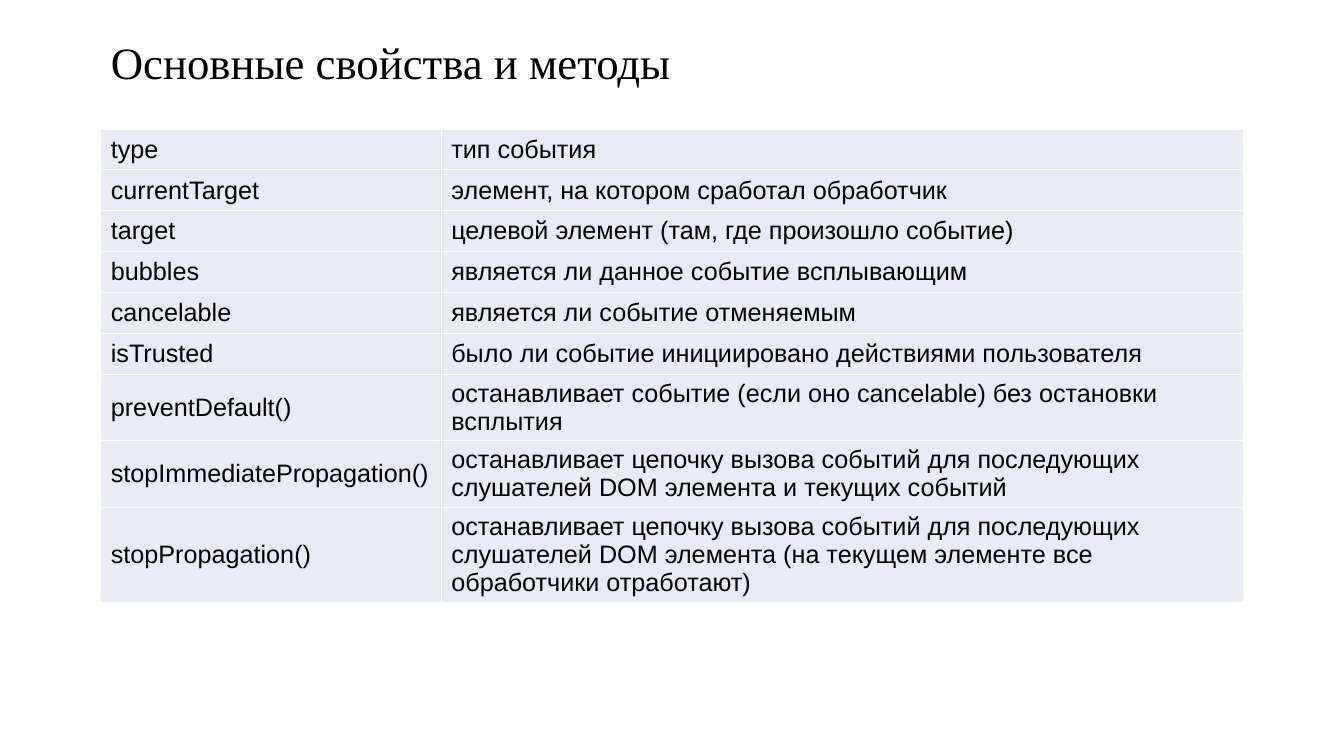
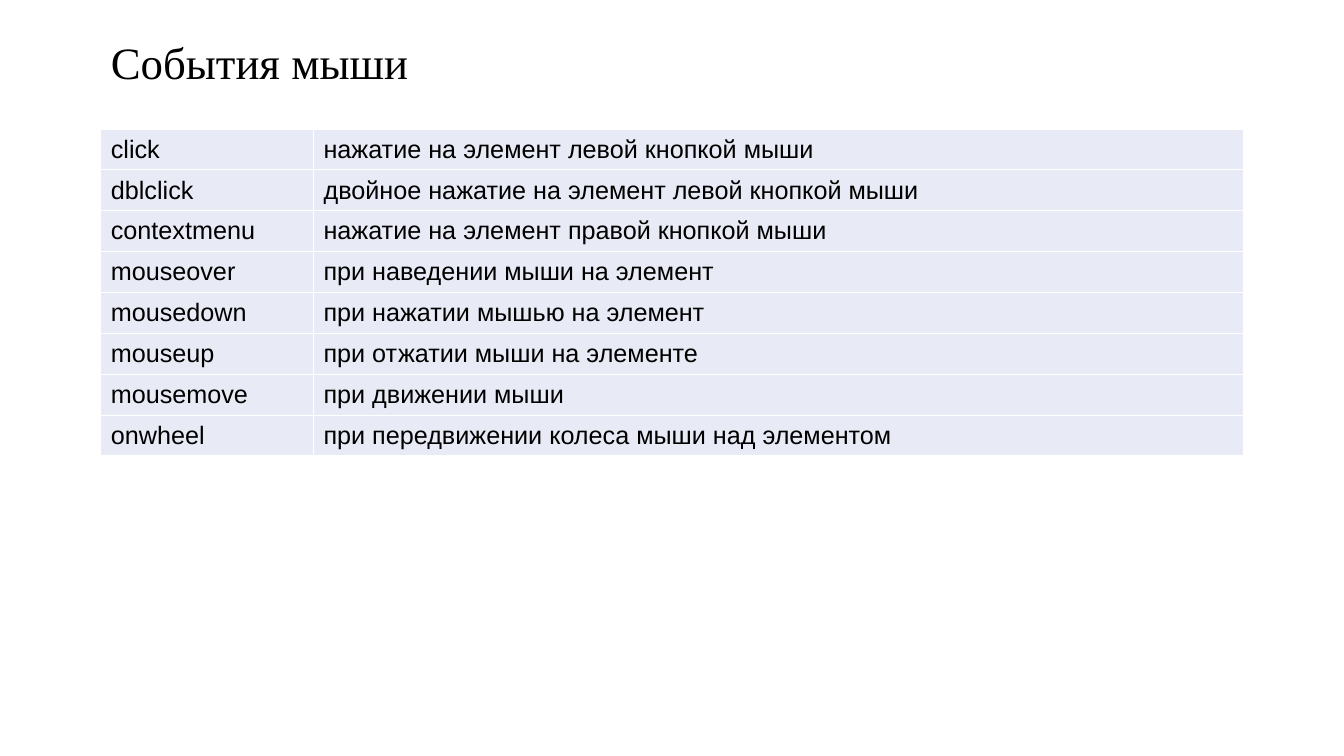
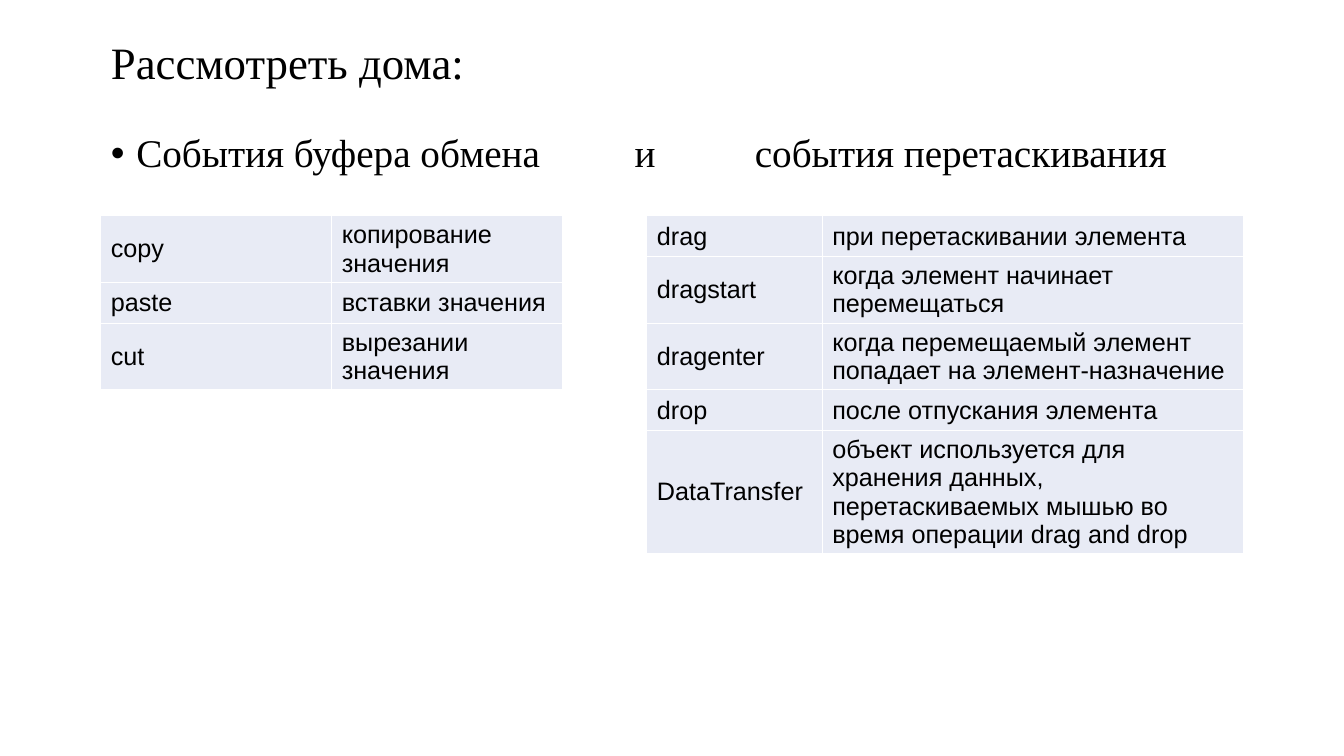
from dataclasses import dataclass

from lxml.etree import SubElement
from pptx import Presentation
from pptx.dml.color import RGBColor
from pptx.enum.text import MSO_ANCHOR, MSO_AUTO_SIZE, PP_ALIGN
from pptx.oxml.ns import qn
from pptx.util import Cm, Pt


@dataclass(frozen=True)
class Theme:
    ink: str = "000000"
    cell: str = "E8EBF5"
    rule: str = "FFFFFF"
    serif: str = "Times New Roman"
    sans: str = "Arial"
    title: int = 32
    body: int = 28
    table: int = 18


THEME = Theme()
LEFT, WIDTH = 2.54, 28.79
HEAD = 3.25
LOW = 5.44
ROW = 1.03
LAYOUTS = {"title": 5, "body": 1}

# Each table: left, top, width, first column width, rows
SLIDES = [
    {
        "title": "Основные свойства и методы",
        "tables": [(LEFT, HEAD, WIDTH, 8.58, [
            ("type", "тип события"),
            ("currentTarget", "элемент, на котором сработал обработчик"),
            ("target", "целевой элемент (там, где произошло событие)"),
            ("bubbles", "является ли данное событие всплывающим"),
            ("cancelable", "является ли событие отменяемым"),
            ("isTrusted", "было ли событие инициировано действиями пользователя"),
            ("preventDefault()",
             "останавливает событие (если оно cancelable) без остановки всплытия"),
            ("stopImmediatePropagation()",
             "останавливает цепочку вызова событий для последующих "
             "слушателей DOM элемента и текущих событий"),
            ("stopPropagation()",
             "останавливает цепочку вызова событий для последующих "
             "слушателей DOM элемента (на текущем элементе все "
             "обработчики отработают)"),
        ])],
    },
    {
        "title": "События мыши",
        "tables": [(LEFT, HEAD, WIDTH, 5.36, [
            ("click", "нажатие на элемент левой кнопкой мыши"),
            ("dblclick", "двойное нажатие на элемент левой кнопкой мыши"),
            ("contextmenu", "нажатие на элемент правой кнопкой мыши"),
            ("mouseover", "при наведении мыши на элемент"),
            ("mousedown", "при нажатии мышью на элемент"),
            ("mouseup", "при отжатии мыши на элементе"),
            ("mousemove", "при движении мыши"),
            ("onwheel", "при передвижении колеса мыши над элементом"),
        ])],
    },
    {
        "title": "Рассмотреть дома:",
        "body": "События буфера обмена\tи\tсобытия перетаскивания",
        "tabs": (13.2, 16.23),
        "tables": [
            (LEFT, LOW, 11.64, 5.82, [
                ("copy", "копирование значения"),
                ("paste", "вставки значения"),
                ("cut", "вырезании значения"),
            ]),
            (16.3, LOW, 15.03, 4.42, [
                ("drag", "при перетаскивании элемента"),
                ("dragstart", "когда элемент начинает перемещаться"),
                ("dragenter",
                 "когда перемещаемый элемент попадает на элемент-назначение"),
                ("drop", "после отпускания элемента"),
                ("DataTransfer",
                 "объект используется для хранения данных, "
                 "перетаскиваемых мышью во время операции drag and drop"),
            ]),
        ],
    },
]


def style(par, face, size):
    par.alignment = PP_ALIGN.LEFT
    for run in par.runs:
        run.font.name = face
        run.font.size = Pt(size)
        run.font.color.rgb = RGBColor.from_string(THEME.ink)


def fill_holder(shape, text, top, height, size, anchor):
    """Place a placeholder across the page and return its paragraph."""
    shape.left, shape.top = Cm(LEFT), Cm(top)
    shape.width, shape.height = Cm(WIDTH), Cm(height)
    frame = shape.text_frame
    frame.text = text
    frame.word_wrap = True
    frame.auto_size = MSO_AUTO_SIZE.NONE
    frame.vertical_anchor = anchor
    par = frame.paragraphs[0]
    par.line_spacing = 0.9
    par.space_before = Pt(0)
    style(par, THEME.serif, size)
    return par


def add_bullet(par, tabs):
    props = par._p.get_or_add_pPr()
    props.set("marL", str(Cm(0.64)))
    props.set("indent", str(-Cm(0.64)))
    SubElement(props, qn("a:buFont"), typeface=THEME.sans)
    SubElement(props, qn("a:buChar"), char="•")
    stops = SubElement(props, qn("a:tabLst"))
    for pos in tabs:
        SubElement(stops, qn("a:tab"), pos=str(Cm(pos)), algn="l")


def format_cell(cell, text):
    cell.text_frame.text = text
    cell.vertical_anchor = MSO_ANCHOR.MIDDLE
    style(cell.text_frame.paragraphs[0], THEME.sans, THEME.table)
    props = cell._tc.get_or_add_tcPr()
    for side in ("lnL", "lnR", "lnT", "lnB"):
        line = SubElement(props, qn(f"a:{side}"), w=str(Pt(1)))
        paint = SubElement(line, qn("a:solidFill"))
        SubElement(paint, qn("a:srgbClr"), val=THEME.rule)
    cell.fill.solid()
    cell.fill.fore_color.rgb = RGBColor.from_string(THEME.cell)


def add_grid(slide, left, top, width, first, rows):
    table = slide.shapes.add_table(
        len(rows), 2, Cm(left), Cm(top), Cm(width), Cm(ROW * len(rows))).table
    table.first_row = table.horz_banding = False
    for col, size in zip(table.columns, (first, width - first)):
        col.width = Cm(size)
    for r, row in enumerate(rows):
        table.rows[r].height = Cm(ROW)
        for c, text in enumerate(row):
            format_cell(table.cell(r, c), text)


def main():
    deck = Presentation()
    deck.slide_width, deck.slide_height = Cm(33.87), Cm(19.05)
    for page in SLIDES:
        kind = "body" if "body" in page else "title"
        slide = deck.slides.add_slide(deck.slide_layouts[LAYOUTS[kind]])
        fill_holder(slide.shapes.title, page["title"], 0, HEAD,
                    THEME.title, MSO_ANCHOR.MIDDLE)
        if kind == "body":
            par = fill_holder(slide.placeholders[1], page["body"], HEAD, 13.67,
                              THEME.body, MSO_ANCHOR.TOP)
            add_bullet(par, page["tabs"])
        for grid in page["tables"]:
            add_grid(slide, *grid)
    deck.save("out.pptx")


if __name__ == "__main__":
    main()
